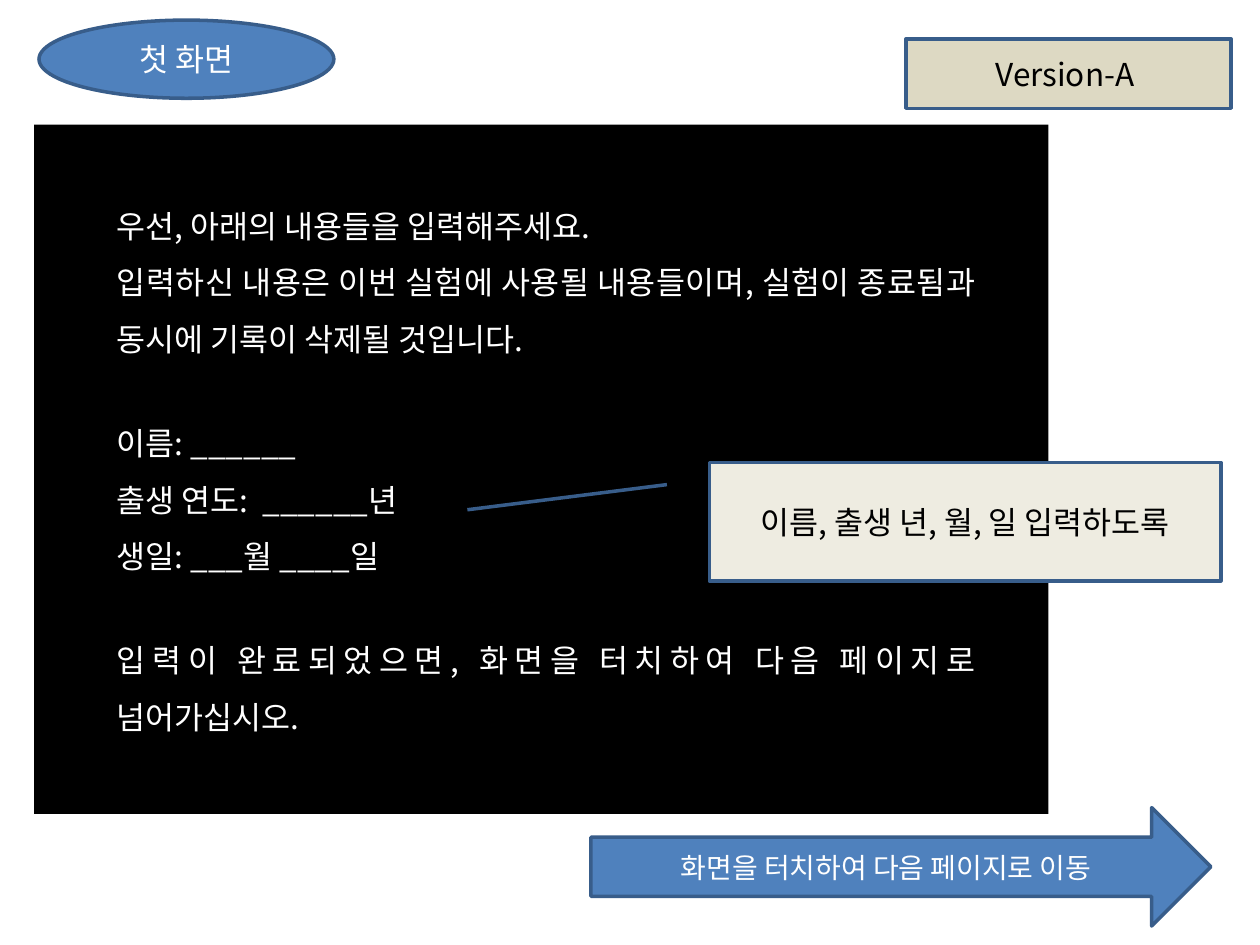
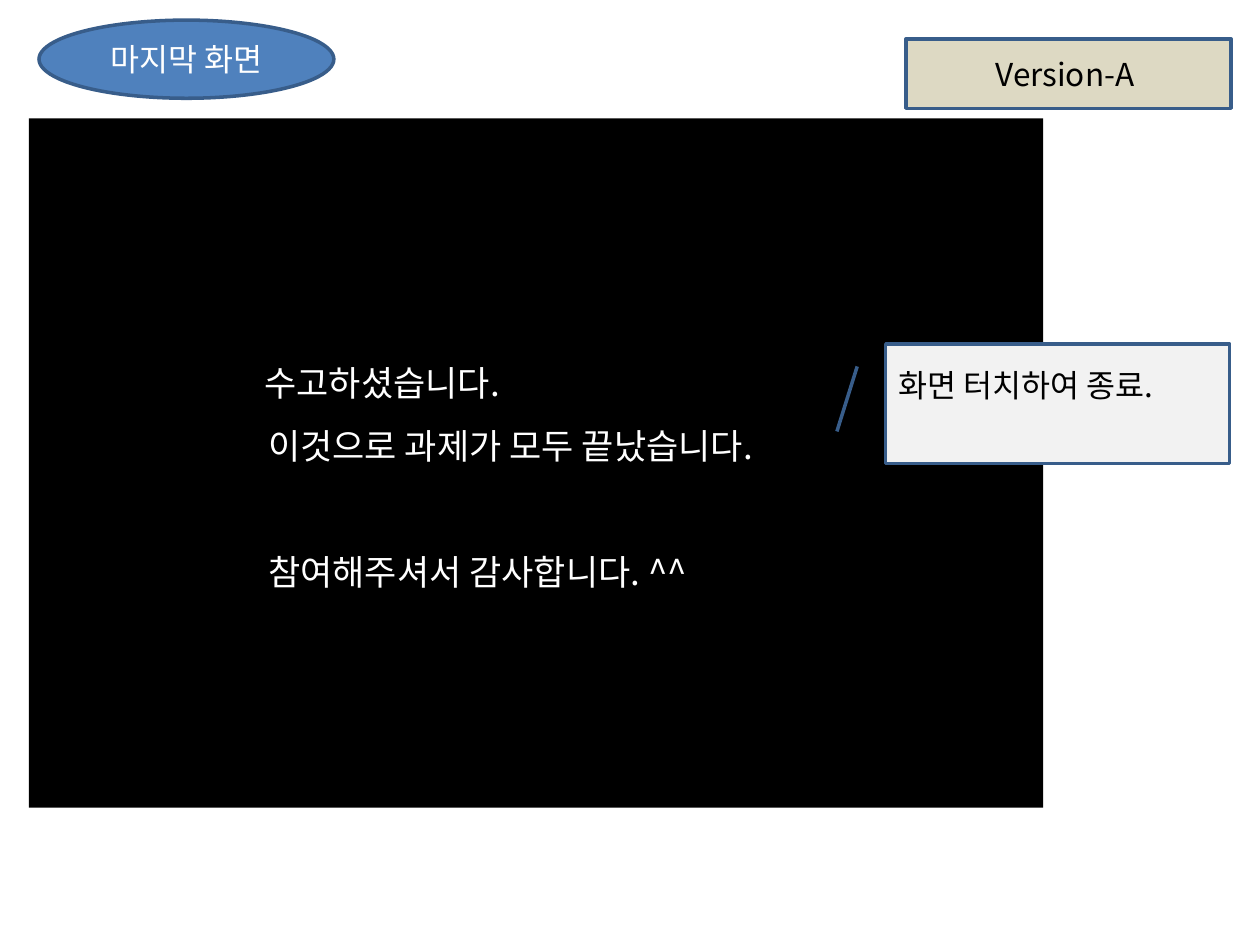
from pptx import Presentation
from pptx import util as u
from pptx.dml.color import RGBColor
from pptx.enum import shapes, text
from pptx.oxml.ns import qn
from lxml import etree

FONT = "Noto Sans CJK KR"
WHITE = RGBColor(0xFF, 0xFF, 0xFF)
BLACK = RGBColor(0, 0, 0)
BLUE = RGBColor(0x4F, 0x81, 0xBD)
NAVY = RGBColor(0x38, 0x5D, 0x8A)
TAN = RGBColor(0xDD, 0xD9, 0xC3)
CREAM = RGBColor(0xEE, 0xEC, 0xE1)
GREY = RGBColor(0xF2, 0xF2, 0xF2)
SHAPE = shapes.MSO_SHAPE
ALIGN = text.PP_ALIGN


class Deck:
    """Holds the presentation, its style and the current slide."""

    def __init__(self):
        self.prs = Presentation()
        self.prs.slide_width = u.Inches(10)
        self.prs.slide_height = u.Inches(7.5)
        self.s = None

    def screen(self, title, left, top):
        """Start a slide with its title oval, version tag and black screen."""
        self.s = self.prs.slides.add_slide(self.prs.slide_layouts[6])
        self.shape(SHAPE.RECTANGLE, (left, top, 8.05, 5.47), BLACK, line=None)
        self.shape(SHAPE.OVAL, (0.31, 0.16, 2.34, 0.62), BLUE, title)
        self.shape(SHAPE.RECTANGLE, (7.19, 0.31, 2.58, 0.55), TAN,
                   "Version-A ", BLACK)

    def shape(self, kind, box, fill, label="", color=WHITE, size=18,
              align=ALIGN.CENTER, line=NAVY):
        sp = self.s.shapes.add_shape(kind, *map(u.Inches, box))
        sp.shadow.inherit = False
        sp.fill.solid()
        sp.fill.fore_color.rgb = fill
        if line is None:
            sp.line.fill.background()
        else:
            sp.line.color.rgb = line
            sp.line.width = u.Pt(2)
        if label:
            tf = sp.text_frame
            tf.word_wrap = True
            tf.vertical_anchor = text.MSO_ANCHOR.MIDDLE
            self.run(tf.paragraphs[0], label, size, color, align)
        return sp

    def callout(self, box, fill, label, leader_end, align=ALIGN.CENTER):
        sp = self.shape(SHAPE.LINE_CALLOUT_1, box, fill, label, BLACK,
                        align=align)
        for i, value in enumerate((0.188, -0.083, *leader_end)):
            sp.adjustments[i] = value
        return sp

    def message(self, box, size, gap, lines):
        """Justified text; each line is (text, opens a block, left indent)."""
        tf = self.s.shapes.add_textbox(*map(u.Inches, box)).text_frame
        tf.word_wrap = True
        for i, (line, new_block, indent) in enumerate(lines):
            p = tf.add_paragraph() if i else tf.paragraphs[0]
            p.line_spacing = 1.5
            if new_block:
                p.space_before = u.Pt(gap)
            if indent:
                p._p.get_or_add_pPr().set("marL", str(u.Inches(indent)))
            self.run(p, line, size, WHITE, ALIGN.JUSTIFY)

    def run(self, p, words, size, color, align):
        p.alignment = align
        r = p.add_run()
        r.text = words
        r.font.name = FONT
        r.font.size = u.Pt(size)
        r.font.color.rgb = color
        # East Asian typeface for the Korean letters
        etree.SubElement(r.font._element, qn("a:ea")).set("typeface", FONT)


def main():
    deck = Deck()

    # First screen: participant details
    deck.screen("첫 화면", 0.27, 0.99)
    deck.message((0.83, 1.44, 7.01, 4.43), 18, 27, [
        ("우선, 아래의 내용들을 입력해주세요.", False, 0),
        ("입력하신 내용은 이번 실험에 사용될 내용들이며, 실험이 "
         "종료됨과 동시에 기록이 삭제될 것입니다.", False, 0),
        ("이름: ______", True, 0),
        ("출생 연도:  ______년", False, 0),
        ("생일: ___월 ____일", False, 0),
        ("입력이 완료되었으면, 화면을 터치하여 다음 페이지로 "
         "넘어가십시오.", True, 0),
    ])
    deck.callout((5.63, 3.67, 4.06, 0.94), CREAM,
                 "이름, 출생 년, 월, 일 입력하도록", (0.4, -0.473))
    deck.shape(SHAPE.RIGHT_ARROW, (4.69, 6.41, 4.92, 0.94), BLUE,
               "화면을 터치하여 다음 페이지로 이동", size=16)

    # Last screen: thanks
    deck.screen("마지막 화면", 0.23, 0.94)
    deck.message((1.88, 2.65, 5.78, 2.37), 20, 36, [
        ("수고하셨습니다.", False, 0.12),
        ("이것으로 과제가 모두 끝났습니다.", False, 0.15),
        ("참여해주셔서 감사합니다. ^^", True, 0.15),
    ])
    note = deck.callout((7.03, 2.73, 2.73, 0.95), GREY, "화면 터치하여 종료.",
                        (0.731, -0.142), ALIGN.LEFT)
    note.text_frame.margin_bottom = u.Inches(0.35)

    deck.prs.save("out.pptx")


if __name__ == "__main__":
    main()
